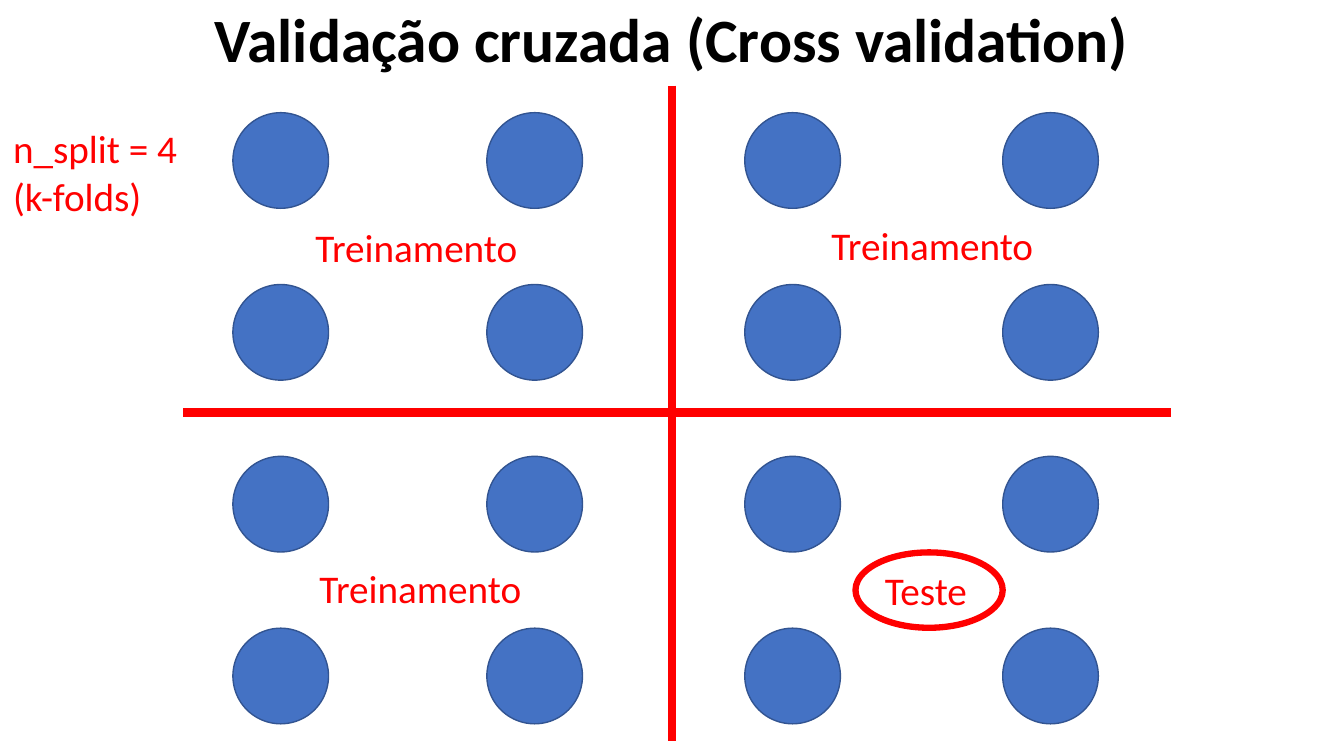
from lxml import etree
from pptx import Presentation
from pptx.dml.color import RGBColor
from pptx.enum.shapes import MSO_CONNECTOR, MSO_SHAPE
from pptx.enum.text import MSO_ANCHOR, PP_ALIGN
from pptx.oxml.ns import qn
from pptx.util import Cm, Pt

OVAL = MSO_SHAPE.OVAL
STRAIGHT = MSO_CONNECTOR.STRAIGHT
CENTER, LEFT = PP_ALIGN.CENTER, PP_ALIGN.LEFT
MIDDLE, TOP = MSO_ANCHOR.MIDDLE, MSO_ANCHOR.TOP

RED, BLUE, NAVY, BLACK = "FF0000", "4472C4", "325491", "000000"
DOT = 2.41
LABEL_W, LABEL_H = 5.8, 1.45


def rgb(hex_color):
    """Turn a hex string into a colour."""
    return RGBColor.from_string(hex_color)


def add_text(slide, box, text, size=28, color=RED, bold=False,
             align=LEFT, anchor=TOP, spacing=1.0):
    """Write text in a box given as left, top, width, height in cm."""
    tf = slide.shapes.add_textbox(*map(Cm, box)).text_frame
    tf.word_wrap = True
    tf.vertical_anchor = anchor
    tf.text = text
    for p in tf.paragraphs:
        p.alignment = align
        p.line_spacing = spacing
        for r in p.runs:
            r.font.name = "Calibri"
            r.font.size = Pt(size)
            r.font.bold = bold
            r.font.color.rgb = rgb(color)


def add_oval(slide, box, line, width, fill=None):
    """Draw an oval, hollow when no fill is given."""
    sp = slide.shapes.add_shape(OVAL, *map(Cm, box))
    sp.shadow.inherit = False
    if fill:
        sp.fill.solid()
        sp.fill.fore_color.rgb = rgb(fill)
    else:
        sp.fill.background()
    sp.line.color.rgb = rgb(line)
    sp.line.width = Pt(width)


def add_divider(slide, x1, y1, x2, y2):
    """Draw a thick red dividing line."""
    line = slide.shapes.add_connector(STRAIGHT, *map(Cm, (x1, y1, x2, y2)))
    line.line.color.rgb = rgb(RED)
    line.line.width = Pt(6)
    etree.SubElement(line._element.spPr, qn("a:effectLst"))


def add_fold(slide, box, label, label_dx, label_dy):
    """Place four samples in the corners of the box and its label."""
    left, top, width, height = box
    for x in (left, left + width - DOT):
        for y in (top, top + height - DOT):
            add_oval(slide, (x, y, DOT, DOT), NAVY, 1, BLUE)
    add_text(slide, (left + label_dx, top + label_dy, LABEL_W, LABEL_H), label)


def add_test_ring(slide, box):
    """Circle the label of the test fold in the given box."""
    left, top = box[:2]
    add_oval(slide, (left + 2.79, top + 2.42, 3.71, 1.9), RED, 4.5)


def add_folds(slide, box):
    """Split the box into four folds by a cross and mark the test fold."""
    left, top, width, height = box
    mid_x, mid_y = left + 12.32, top + 8.23
    col_1, col_2 = (left + 1.25, 8.81), (left + 14.15, 8.91)
    row_1, row_2 = top + 0.68, top + 9.34
    folds = [
        (col_1, row_1, "Treinamento", 1.83, 2.67),
        (col_2, row_1, "Treinamento", 1.93, 2.62),
        (col_1, row_2, "Treinamento", 1.93, 2.6),
        (col_2, row_2, "Teste", 3.28, 2.65),
    ]
    add_divider(slide, mid_x, top, mid_x, top + height)
    add_divider(slide, left, mid_y, left + width, mid_y)
    for (x, w), y, label, dx, dy in folds:
        fold_box = (x, y, w, 6.74)
        add_fold(slide, fold_box, label, dx, dy)
        if label == "Teste":
            add_test_ring(slide, fold_box)


def build():
    """Build the cross validation slide."""
    prs = Presentation()
    prs.slide_width, prs.slide_height = Cm(33.87), Cm(19.05)
    slide = prs.slides.add_slide(prs.slide_layouts[6])
    add_text(slide, (0.94, 0, 32, 2.16), "Validação cruzada (Cross validation)",
             44, BLACK, True, CENTER, MIDDLE, 0.9)
    add_folds(slide, (4.62, 2.16, 24.9, 16.5))
    add_text(slide, (0.08, 3.02, LABEL_W, 2.65), "n_split = 4\n(k-folds)")
    prs.save("out.pptx")


build()
